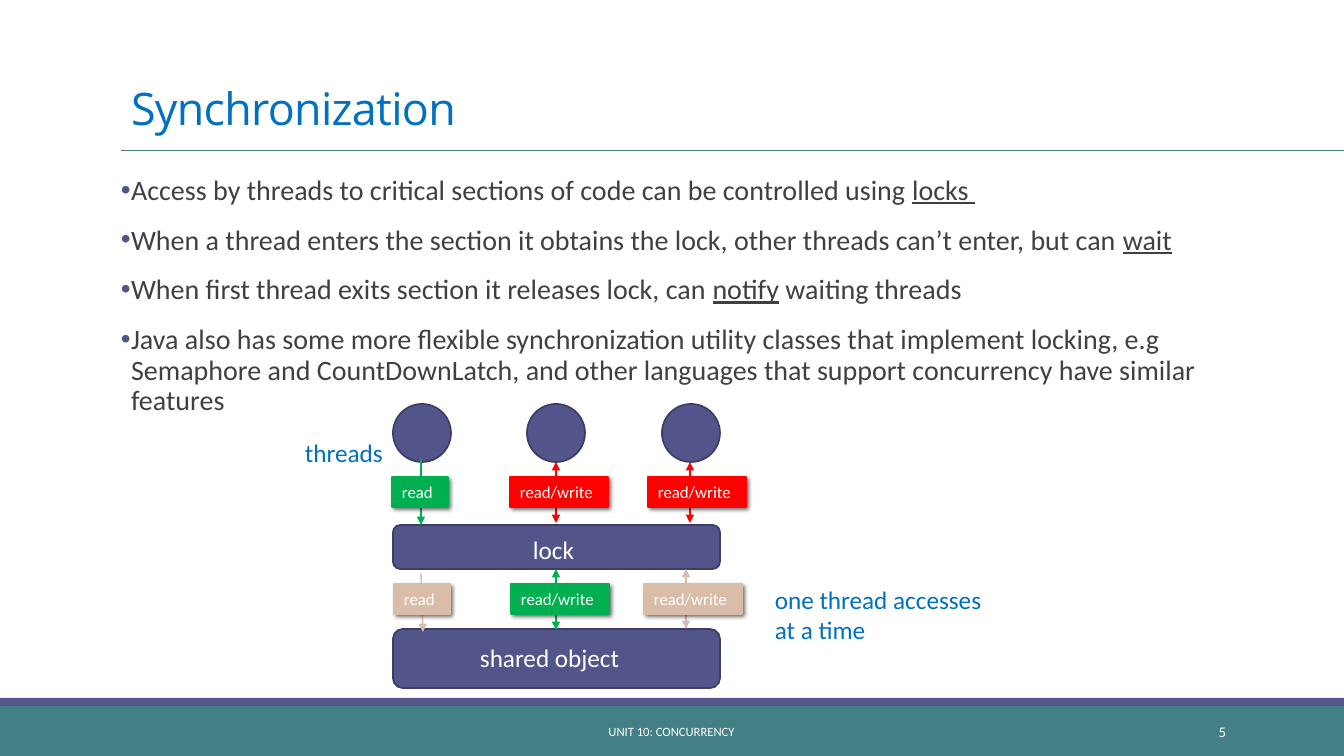
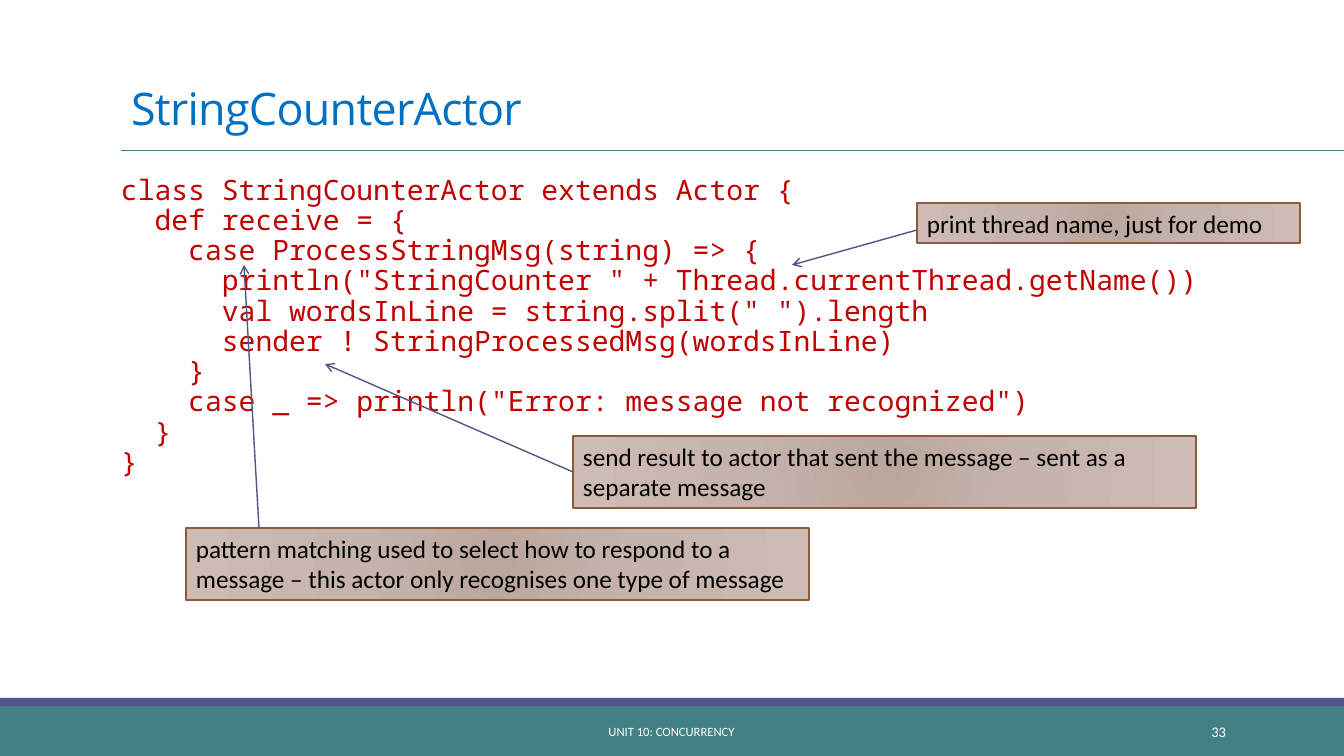
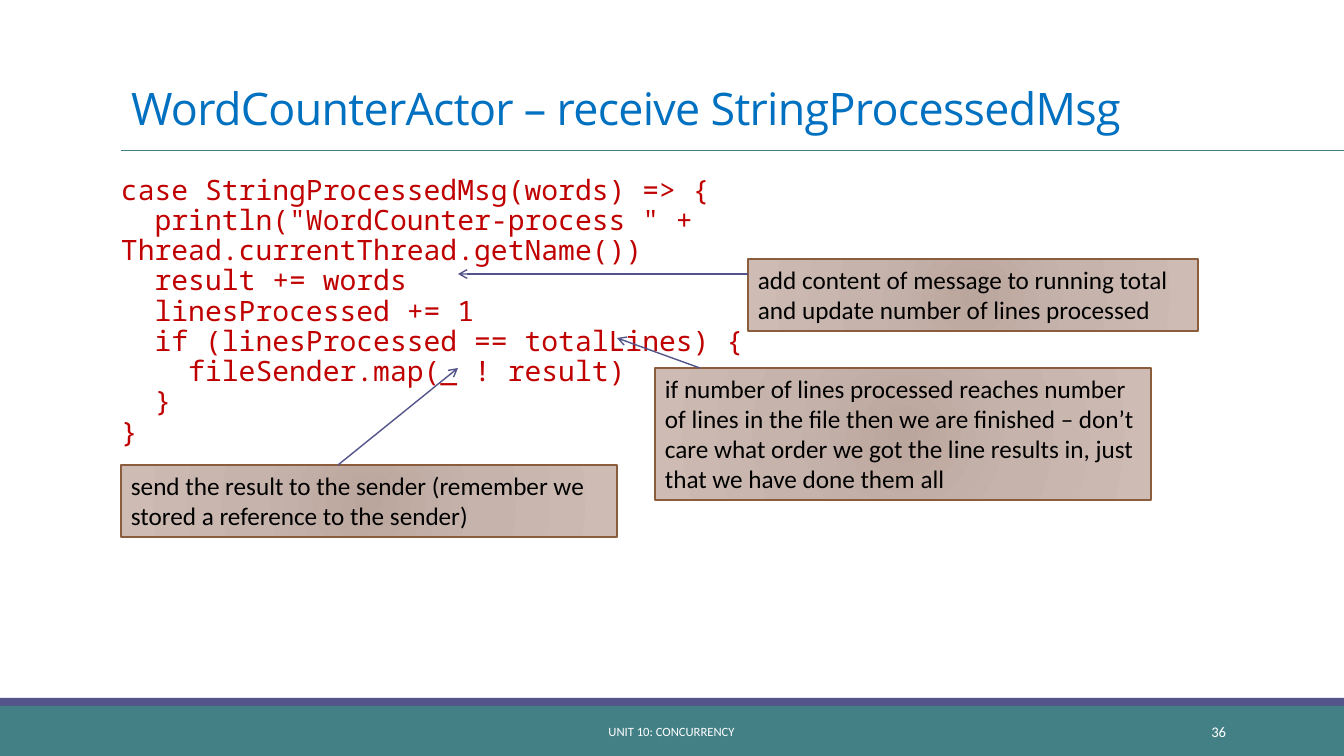
from collections import namedtuple
from lxml.etree import SubElement
from pptx import Presentation
from pptx.dml.color import RGBColor
from pptx.enum.shapes import MSO_CONNECTOR, MSO_SHAPE
from pptx.enum.text import MSO_ANCHOR as ANCHOR, MSO_AUTO_SIZE as FIT, PP_ALIGN as ALIGN
from pptx.oxml import parse_xml
from pptx.oxml.ns import nsdecls, qn
from pptx.util import Emu, Pt

Box = namedtuple("Box", "left top width height")

SCALE = 914400 / 100.8
SLIDE_W, SLIDE_H = 1344, 756
TITLE_BOX = Box(121, 31, 1108, 109)
BODY_BOX = Box(121, 171, 1108, 503)
DIAGRAM_BOX = Box(295, 404, 705, 284)

COLORS = {
    "teal": "438086", "indigo": "53548A", "indigo_edge": "3D3E66",
    "blue": "0070C0", "text": "404040", "code": "C00000",
    "green": "00B050", "red": "FF0000", "tan": "D9BDA9",
    "note_edge": "8B5D3D", "white": "FFFFFF", "black": "000000",
}
NOTE_STOPS = [(0, "BBA69D"), (45, "C6B4AC"), (100, "CEBCB4")]
SANS, HEADING, MONO = "Calibri", "Open Sans", "Noto Sans Mono"


def px(length):
    return Emu(round(length * SCALE))


def emu(box):
    return [px(length) for length in box]


def color(key):
    return RGBColor.from_string(COLORS[key])


# Text
def style_run(run, size, key, font=SANS):
    run.font.size = Pt(size)
    run.font.name = font
    run.font.color.rgb = color(key)


def write(shape, text, size, key, align=ALIGN.LEFT, anchor=ANCHOR.TOP, fit=FIT.NONE, wrap=True):
    frame = shape.text_frame
    frame.text = text
    frame.word_wrap = wrap
    frame.auto_size = fit
    frame.vertical_anchor = anchor
    for paragraph in frame.paragraphs:
        paragraph.alignment = align
        for run in paragraph.runs:
            style_run(run, size, key)


def label(slide, box, text, size, key, **options):
    write(slide.shapes.add_textbox(*emu(box)), text, size, key, **options)


# Shapes and lines
def block(slide, kind, box, fill=None, edge=None, weight=1.0):
    shape = slide.shapes.add_shape(kind, *emu(box))
    shape.shadow.inherit = False
    if fill:
        shape.fill.solid()
        shape.fill.fore_color.rgb = color(fill)
    if edge:
        shape.line.color.rgb = color(edge)
        shape.line.width = Pt(weight)
    else:
        shape.line.fill.background()
    return shape


def connect(slide, start, end, key, weight=1.0, head=None, tail=None):
    line = slide.shapes.add_connector(MSO_CONNECTOR.STRAIGHT, *emu(start), *emu(end))
    line.line.color.rgb = color(key)
    line.line.width = Pt(weight)
    properties = line.element.spPr
    outline = properties.find(qn("a:ln"))
    for tag, kind in (("a:headEnd", head), ("a:tailEnd", tail)):
        if kind:
            SubElement(outline, qn(tag), type=kind)
    SubElement(properties, qn("a:effectLst"))
    return line


# Bands and title rule, kept in the layout
def furnish_layout(layout, slide):
    parts = [
        block(slide, MSO_SHAPE.RECTANGLE, Box(0, 706, SLIDE_W, 50), "teal"),
        block(slide, MSO_SHAPE.RECTANGLE, Box(0, 698, SLIDE_W, 8), "indigo"),
        connect(slide, (121, 150), (SLIDE_W, 150), "teal", 0.5),
    ]
    for index, part in enumerate(parts):
        part.element.xpath(".//p:cNvPr")[0].set("id", str(20 + index))
        layout.shapes.element.insert(2 + index, part.element)


# Title and footer of every slide
def start_slide(slide, title, number):
    heading = slide.shapes.title
    heading.left, heading.top, heading.width, heading.height = emu(TITLE_BOX)
    write(heading, title, 32, "blue", anchor=ANCHOR.BOTTOM)
    paragraph = heading.text_frame.paragraphs[0]
    paragraph.line_spacing = 0.85
    run = paragraph.runs[0]
    run.font.name = HEADING
    run.font._element.set("spc", "-50")
    label(slide, Box(406, 712, 531, 40), "UNIT 10: CONCURRENCY", 9, "white",
          align=ALIGN.CENTER, anchor=ANCHOR.MIDDLE)
    label(slide, Box(1092, 712, 144, 40), str(number), 10.5, "white",
          align=ALIGN.RIGHT, anchor=ANCHOR.MIDDLE)


# Body placeholder
def open_body(slide, box):
    body = slide.placeholders[1]
    body.left, body.top, body.width, body.height = emu(box)
    frame = body.text_frame
    frame.auto_size = FIT.NONE
    frame.margin_left = frame.margin_right = 0
    return frame


def space_body(paragraph, bullet):
    paragraph.line_spacing = 0.9
    paragraph.space_before = Pt(12)
    paragraph.space_after = Pt(2)
    properties = paragraph._p.get_or_add_pPr()
    indent = 91440 if bullet else 0
    properties.set("marL", str(indent))
    properties.set("indent", str(-indent))
    if bullet:
        tint = SubElement(properties, qn("a:buClr"))
        SubElement(tint, qn("a:srgbClr"), val=COLORS["indigo"])
        SubElement(properties, qn("a:buChar"), char="•")
    else:
        SubElement(properties, qn("a:buNone"))


def bullet_list(slide, box, items):
    frame = open_body(slide, box)
    for index, pieces in enumerate(items):
        paragraph = frame.add_paragraph() if index else frame.paragraphs[0]
        space_body(paragraph, bullet=True)
        for position, piece in enumerate(pieces):
            run = paragraph.add_run()
            run.text = piece
            style_run(run, 20, "text")
            if position % 2:  # every second piece is a key term
                run.font.underline = True


def code_listing(slide, box, lines):
    paragraph = open_body(slide, box).paragraphs[0]
    paragraph.text = "\v".join(lines)
    space_body(paragraph, bullet=False)
    for run in paragraph.runs:
        style_run(run, 20, "code", MONO)


# Note with an arrow to the code it explains
def code_note(slide, box, text, anchor_offset, target):
    note = block(slide, MSO_SHAPE.RECTANGLE, box, edge="note_edge")
    stops = "".join(f'<a:gs pos="{at * 1000}"><a:srgbClr val="{tint}"/></a:gs>'
                    for at, tint in NOTE_STOPS)
    gradient = parse_xml(
        f'<a:gradFill {nsdecls("a")} rotWithShape="1"><a:gsLst>{stops}</a:gsLst>'
        '<a:path path="circle"><a:fillToRect l="100000" t="100000" r="100000" b="100000"/>'
        '</a:path></a:gradFill>')
    note.element.spPr.find(qn("a:prstGeom")).addnext(gradient)
    write(note, text, 18, "black", fit=FIT.SHAPE_TO_FIT_TEXT)
    start = (box.left + anchor_offset[0], box.top + anchor_offset[1])
    connect(slide, start, target, "indigo", tail="arrow")


# Lock diagram
def access_tag(slide, left, top, text, key):
    width = 56 if text == "read" else 98
    tag = block(slide, MSO_SHAPE.RECTANGLE, Box(left, top, width, 30), key, key)
    write(tag, text, 12, "white", fit=FIT.SHAPE_TO_FIT_TEXT)
    effects = tag.element.spPr.find(qn("a:effectLst"))
    shadow = SubElement(effects, qn("a:outerShdw"), blurRad=str(Pt(3)), dist=str(Pt(2)),
                        dir="2700000", algn="tl", rotWithShape="0")
    shade = SubElement(shadow, qn("a:srgbClr"), val=COLORS["black"])
    SubElement(shade, qn("a:alpha"), val="60000")


def lock_diagram(slide, box):
    left, top = box.left, box.top
    for column in range(3):
        thread = Box(left + 98 + column * 269 // 2, top, 58, 58)
        block(slide, MSO_SHAPE.OVAL, thread, "indigo", "indigo_edge", 1.25)
    for y, height in ((121, 44), (225, 59)):
        bar = Box(left + 98, top + y, 327, height)
        block(slide, MSO_SHAPE.ROUNDED_RECTANGLE, bar, "indigo", "indigo_edge", 1.25)

    captions = [
        (228, 125, 61, 40, "lock", "white"),
        (0, 28, 99, 40, "threads", "blue"),
        (175, 233, 163, 40, "shared object", "white"),
        (470, 175, 235, 72, "one thread accesses \vat a time", "blue"),
    ]
    for x, y, width, height, text, key in captions:
        label(slide, Box(left + x, top + y, width, height), text, 18, key,
              wrap=False, fit=FIT.SHAPE_TO_FIT_TEXT)

    # Arrow start and end, tag corner, tag text, colour
    accesses = [
        ((126, 55), (126, 121), (97, 73), "read", "green"),
        ((261, 58), (261, 119), (215, 73), "read/write", "red"),
        ((395, 58), (395, 119), (353, 73), "read/write", "red"),
        ((126, 169), (128, 228), (99, 180), "read", "tan"),
        ((261, 165), (261, 226), (216, 180), "read/write", "green"),
        ((391, 165), (391, 225), (349, 180), "read/write", "tan"),
    ]
    for start, end, corner, text, key in accesses:
        (x1, y1), (x2, y2), (x, y) = start, end, corner
        connect(slide, (left + x1, top + y1), (left + x2, top + y2), key,
                head=None if text == "read" else "triangle", tail="triangle")
        access_tag(slide, left + x, top + y, text, key)


# Slides
def synchronization_slide(slide):
    start_slide(slide, "Synchronization", 5)
    bullet_list(slide, BODY_BOX, [
        ["Access by threads to critical sections of code can be controlled using ", "locks "],
        ["When a thread enters the section it obtains the lock, other threads can’t enter, "
         "but can ", "wait"],
        ["When first thread exits section it releases lock, can ", "notify", " waiting threads"],
        ["Java also has some more flexible synchronization utility classes that implement "
         "locking, e.g Semaphore and CountDownLatch, and other languages that support "
         "concurrency have similar features"],
    ])
    lock_diagram(slide, DIAGRAM_BOX)


def code_slide(slide, title, number, lines, notes):
    start_slide(slide, title, number)
    code_listing(slide, BODY_BOX, lines)
    for note in notes:
        code_note(slide, *note)


STRING_COUNTER = [
    'class StringCounterActor extends Actor {',
    '  def receive = {',
    '    case ProcessStringMsg(string) => {',
    '      println("StringCounter " + Thread.currentThread.getName())',
    '      val wordsInLine = string.split(" ").length',
    '      sender ! StringProcessedMsg(wordsInLine)',
    '    }',
    '    case _ => println("Error: message not recognized")',
    '  }',
    '}',
]
STRING_COUNTER_NOTES = [
    (Box(186, 528, 623, 72), "pattern matching used to select how to respond to a message "
     "– this actor only recognises one type of message", (73, 0), (244, 265)),
    (Box(573, 436, 623, 72), "send result to actor that sent the message – sent as a "
     "separate message", (0, 36), (325, 364)),
    (Box(917, 203, 383, 40), "print thread name, just for demo", (0, 27), (792, 265)),
]
WORD_COUNTER = [
    'case StringProcessedMsg(words) => {',
    '  println("WordCounter-process " + Thread.currentThread.getName())',
    '  result += words',
    '  linesProcessed += 1',
    '  if (linesProcessed == totalLines) {',
    '    fileSender.map(_ ! result)',
    '  }',
    '}',
]
WORD_COUNTER_NOTES = [
    (Box(748, 259, 450, 72), "add content of message to running total and update number of "
     "lines processed", (0, 15), (458, 274)),
    (Box(655, 368, 496, 132), "if number of lines processed reaches number of lines in the "
     "file then we are finished – don’t care what order we got the line results in, just "
     "that we have done them all", (45, 0), (617, 338)),
    (Box(121, 465, 496, 72), "send the result to the sender (remember we stored a reference "
     "to the sender)", (217, 0), (458, 368)),
]

deck = Presentation()
deck.slide_width, deck.slide_height = px(SLIDE_W), px(SLIDE_H)
content_layout = deck.slide_layouts[1]
synchronization, string_counter, word_counter = (
    deck.slides.add_slide(content_layout) for _ in range(3))
furnish_layout(content_layout, synchronization)
synchronization_slide(synchronization)
code_slide(string_counter, "StringCounterActor", 33, STRING_COUNTER, STRING_COUNTER_NOTES)
code_slide(word_counter, "WordCounterActor – receive StringProcessedMsg", 36,
           WORD_COUNTER, WORD_COUNTER_NOTES)
deck.save("out.pptx")
